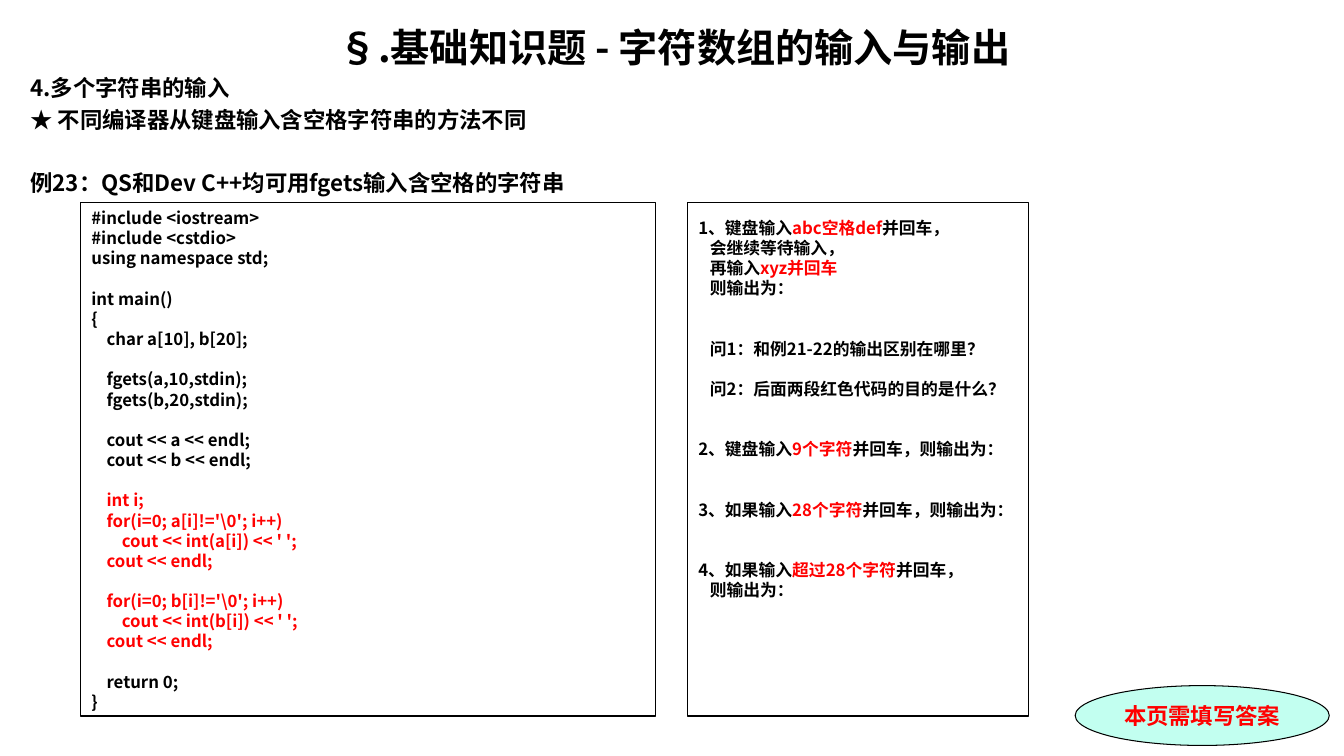
from pptx import Presentation, util as u
from pptx.dml.color import RGBColor
from pptx.enum import shapes, text
from pptx.oxml.ns import qn
from lxml import etree

PX = 9525
FONT = "Noto Sans CJK SC"
BLACK = RGBColor(0x00, 0x00, 0x00)
RED = RGBColor(0xFF, 0x00, 0x00)
MINT = RGBColor(0xC2, 0xFF, 0xF0)
LINE_RATIO = 1.2
RED_MARK = "|"

TITLE = "§.基础知识题 - 字符数组的输入与输出"
INTRO = [
    ("4.多个字符串的输入", 3.2),
    ("★ 不同编译器从键盘输入含空格字符串的方法不同", 3.2),
    ("例23：QS和Dev C++均可用fgets输入含空格的字符串", 25.6),
]
CODE = r"""#include <iostream>
#include <cstdio>
using namespace std;

int main()
{
    char a[10], b[20];

    fgets(a,10,stdin);
    fgets(b,20,stdin);

    cout << a << endl;
    cout << b << endl;

|    int i;
|    for(i=0; a[i]!='\0'; i++)
|        cout << int(a[i]) << ' ';
|    cout << endl;

|    for(i=0; b[i]!='\0'; i++)
|        cout << int(b[i]) << ' ';
|    cout << endl;

    return 0;
}"""
QUESTIONS = [
    ("1、键盘输入|abc空格def|并回车，", 0, 0),
    ("会继续等待输入，", 11, 0),
    ("再输入|xyz并回车", 11, 0),
    ("则输出为：", 11, 0),
    ("问1：和例21-22的输出区别在哪里？", 11, 2),
    ("问2：后面两段红色代码的目的是什么？", 11, 1),
    ("2、键盘输入|9个字符|并回车，则输出为：", 0, 2),
    ("3、如果输入|28个字符|并回车，则输出为：", 0, 2),
    ("4、如果输入|超过28个字符|并回车，", 0, 2),
    ("则输出为：", 11, 0),
]


def scale(box):
    """Turn a box in px into EMU."""
    return [length * PX for length in box]


def set_insets(frame, left, top, right, bottom):
    """Set wrapping, top anchoring and the insets in px."""
    frame.word_wrap = True
    frame.vertical_anchor = text.MSO_ANCHOR.TOP
    frame.margin_left, frame.margin_top = left * PX, top * PX
    frame.margin_right, frame.margin_bottom = right * PX, bottom * PX


def add_run(paragraph, words, size, color, font=FONT):
    """Add one bold run."""
    run = paragraph.add_run()
    run.text = words
    run.font.size = u.Pt(size)
    run.font.bold = True
    run.font.name = font
    run.font.color.rgb = color
    if font == FONT:
        east_asian = etree.SubElement(run.font._element, qn("a:ea"))
        east_asian.set("typeface", font)


def add_line(frame, words, size, before=0, indent=0, align=text.PP_ALIGN.LEFT):
    """Add a paragraph whose marked stretches are red."""
    first = frame.paragraphs[0]
    paragraph = frame.add_paragraph() if first.runs else first
    paragraph.alignment = align
    paragraph.line_spacing = u.Pt(size * LINE_RATIO)
    paragraph.space_before = u.Pt(before)
    if indent:
        properties = paragraph._p.get_or_add_pPr()
        properties.set("marL", str(indent * PX))
        properties.set("indent", "0")
    for index, stretch in enumerate(words.split(RED_MARK)):
        if stretch:
            add_run(paragraph, stretch, size, RED if index % 2 else BLACK)


def add_outlined(slide, kind, box, fill=None):
    """Add a shape with a thin black outline."""
    shape = slide.shapes.add_shape(kind, *scale(box))
    shape.shadow.inherit = False
    if fill is None:
        shape.fill.background()
    else:
        shape.fill.solid()
        shape.fill.fore_color.rgb = fill
    shape.line.color.rgb = BLACK
    shape.line.width = u.Pt(0.75)
    return shape


def add_heading(slide, box):
    """Write the title and the introduction."""
    frame = slide.shapes.add_textbox(*scale(box)).text_frame
    set_insets(frame, 10, 5, 10, 5)
    add_line(frame, TITLE, 28, align=text.PP_ALIGN.CENTER)
    for words, before in INTRO:
        add_line(frame, words, 16, before, align=text.PP_ALIGN.JUSTIFY)


def add_code(slide, box):
    """Write the program in its frame, with empty lines as spacing."""
    frame = add_outlined(slide, shapes.MSO_SHAPE.RECTANGLE, box).text_frame
    set_insets(frame, 10, 5, 10, 5)
    gap = 0
    for line in CODE.splitlines():
        if line:
            add_line(frame, line, 12, gap)
            gap = 0
        else:
            gap += 12 * LINE_RATIO


def add_questions(slide, box):
    """Write the questions in their frame."""
    frame = add_outlined(slide, shapes.MSO_SHAPE.RECTANGLE, box).text_frame
    set_insets(frame, 10, 14, 0, 5)
    for words, indent, empty_lines in QUESTIONS:
        add_line(frame, words, 12, empty_lines * 12 * LINE_RATIO, indent)


def add_reminder(slide, box):
    """Draw the oval reminder."""
    frame = add_outlined(slide, shapes.MSO_SHAPE.OVAL, box, MINT).text_frame
    set_insets(frame, 0, 0, 0, 0)
    frame.vertical_anchor = text.MSO_ANCHOR.MIDDLE
    paragraph = frame.paragraphs[0]
    paragraph.alignment = text.PP_ALIGN.CENTER
    add_run(paragraph, "本页需填写答案", 16, RED, "Times New Roman")


def main():
    """Build and save the slide."""
    presentation = Presentation()
    presentation.slide_width, presentation.slide_height = scale((1280, 720))
    slide = presentation.slides.add_slide(presentation.slide_layouts[6])
    add_heading(slide, (19, 17, 1247, 681))
    add_reminder(slide, (1024, 653, 242, 57))
    add_code(slide, (77, 193, 547, 489))
    add_questions(slide, (655, 193, 325, 489))
    presentation.save("out.pptx")


if __name__ == "__main__":
    main()
